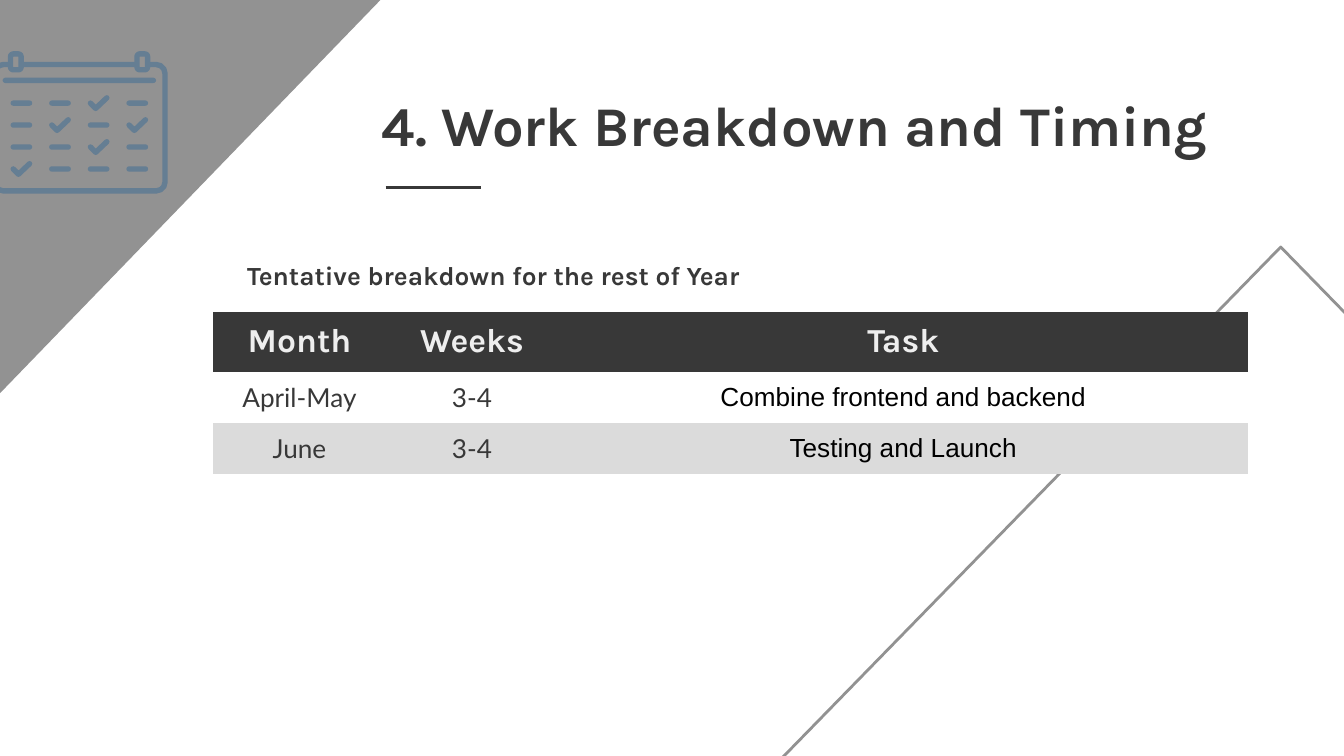
"""Build the work breakdown and timing slide."""
from dataclasses import dataclass

from lxml import etree
from pptx import Presentation
from pptx.dml.color import RGBColor
from pptx.enum import shapes, text
from pptx.oxml import ns
from pptx.util import Cm, Pt


@dataclass(frozen=True)
class Theme:
    ink: RGBColor = RGBColor.from_string("383838")
    black: RGBColor = RGBColor.from_string("000000")
    white: RGBColor = RGBColor.from_string("FFFFFF")
    pale: RGBColor = RGBColor.from_string("EEEEEE")
    band: RGBColor = RGBColor.from_string("DBDBDB")
    grey: RGBColor = RGBColor.from_string("929292")
    blue: RGBColor = RGBColor.from_string("657E93")
    title: Pt = Pt(30)
    header: Pt = Pt(18)
    body: Pt = Pt(14)
    rule: Pt = Pt(1.5)
    icon: Pt = Pt(2.9)


theme = Theme()


def write(frame, words, align, color, **font):
    paragraph = frame.paragraphs[0]
    paragraph.alignment = align
    run = paragraph.add_run()
    run.text = words
    run.font.color.rgb = color
    for name, value in font.items():
        setattr(run.font, name, value)


def paint(shape, fill=None, line=None, width=theme.rule):
    shape.shadow.inherit = False
    if fill is None:
        shape.fill.background()
    else:
        shape.fill.solid()
        shape.fill.fore_color.rgb = fill
    if line is None:
        shape.line.fill.background()
    else:
        shape.line.color.rgb = line
        shape.line.width = width
    return shape


deck = Presentation()
deck.slide_width, deck.slide_height = Cm(25.4), Cm(14.29)
slide = deck.slides.add_slide(deck.slide_layouts[6])
canvas = slide.shapes
preset = shapes.MSO_SHAPE
center, left = text.PP_ALIGN.CENTER, text.PP_ALIGN.LEFT

corner = canvas.add_shape(preset.RIGHT_TRIANGLE, Cm(-0.93), Cm(-0.17), Cm(8.56), Cm(8.28))
corner.rotation = 90
paint(corner, fill=theme.grey)
peak = canvas.add_shape(preset.ISOSCELES_TRIANGLE, Cm(13.92), Cm(4.67), Cm(20.57), Cm(10.54))
paint(peak, line=theme.grey)

headings = [
    ("4. Work Breakdown and Timing", (4.8, 1.47, 20.45, 1.47), 0.25, center, theme.title),
    ("Tentative breakdown for the rest of Year", (3.15, 4.65, 14.43, 1.47), 1.52, left, theme.body),
]
for words, box, inset, align, size in headings:
    frame = canvas.add_textbox(*map(Cm, box)).text_frame
    layout = dict(word_wrap=True, margin_left=Cm(inset), margin_right=Cm(0.25),
                  margin_top=Cm(0.25), margin_bottom=Cm(0.25))
    for name, value in layout.items():
        setattr(frame, name, value)
    write(frame, words, align, theme.ink, name="Karla", size=size, bold=True)

underline = canvas.add_connector(shapes.MSO_CONNECTOR.STRAIGHT, Cm(7.29), Cm(3.55), Cm(9.09), Cm(3.55))
underline.line.color.rgb = theme.ink
underline.line.width = theme.rule
etree.SubElement(underline._element.spPr, ns.qn("a:effectLst"))

schedule = [
    ("Month", "Weeks", "Task"),
    ("April-May", "3-4", "Combine frontend and backend"),
    ("June", "3-4", "Testing and Launch"),
]
heights = [1.14, 0.97, 0.97]
fills = [theme.ink, theme.white, theme.band]
timetable = canvas.add_table(3, 6, Cm(4.03), Cm(5.89), Cm(19.56), Cm(sum(heights))).table
timetable._tbl.tblPr.find(ns.qn("a:tableStyleId")).text = "{2D5ABB26-0587-4C30-8999-92F81FD0307C}"
cell_format = dict(vertical_anchor=text.MSO_ANCHOR.MIDDLE, margin_left=Cm(0.25),
                   margin_right=Cm(0.25), margin_top=0, margin_bottom=0)
header_font = (theme.pale, dict(name="Karla", size=theme.header, bold=True))
label_font = (theme.ink, dict(name="Lato", size=theme.body, bold=False))
task_font = (theme.black, dict(name="Arial", size=theme.body, bold=False))
for row, entries in enumerate(schedule):
    timetable.rows[row].height = Cm(heights[row])
    timetable.cell(row, 2).merge(timetable.cell(row, 5))
    for cell in timetable.rows[row].cells:
        cell.fill.solid()
        cell.fill.fore_color.rgb = fills[row]
        for name, value in cell_format.items():
            setattr(cell, name, value)
    fonts = [header_font] * 3 if row == 0 else [label_font, label_font, task_font]
    for column, (words, (color, font)) in enumerate(zip(entries, fonts)):
        write(timetable.cell(row, column).text_frame, words, center, color, **font)

page = canvas.add_shape(preset.ROUNDED_RECTANGLE, Cm(-0.1), Cm(1.22), Cm(3.22), Cm(2.39))
page.adjustments[0] = 0.07
paint(page, line=theme.blue, width=theme.icon)
for ring_left in (0.2, 2.59):
    ring = canvas.add_shape(preset.ROUNDED_RECTANGLE, Cm(ring_left), Cm(1.02), Cm(0.2), Cm(0.3))
    ring.adjustments[0] = 0.25
    paint(ring, fill=theme.grey, line=theme.blue, width=theme.icon)

day_left, day_top, day_width, day_step, week_step = 0.2, 1.9, 0.41, 0.73, 0.415
done = {(0, 2), (1, 1), (1, 3), (2, 2), (3, 0)}
bars = [(0.05, 1.47, 2.9)]
for week in range(4):
    for day in range(4):
        x, y = day_left + day * day_step, day_top + week * week_step
        if (week, day) not in done:
            bars.append((x, y, day_width))
            continue
        pen = canvas.build_freeform(Cm(x + 0.05), Cm(y + 0.05))
        pen.add_line_segments([(Cm(x + 0.15), Cm(y + 0.15)), (Cm(x + 0.36), Cm(y - 0.05))], close=False)
        tick = paint(pen.convert_to_shape(), line=theme.blue, width=theme.icon)
        outline = tick.line._get_or_add_ln()
        outline.set("cap", "rnd")
        etree.SubElement(outline, ns.qn("a:round"))
for x, y, width in bars:
    bar = canvas.add_shape(preset.ROUNDED_RECTANGLE, Cm(x), Cm(y), Cm(width), Cm(0.1))
    bar.adjustments[0] = 0.5
    paint(bar, fill=theme.blue)

deck.save("out.pptx")
